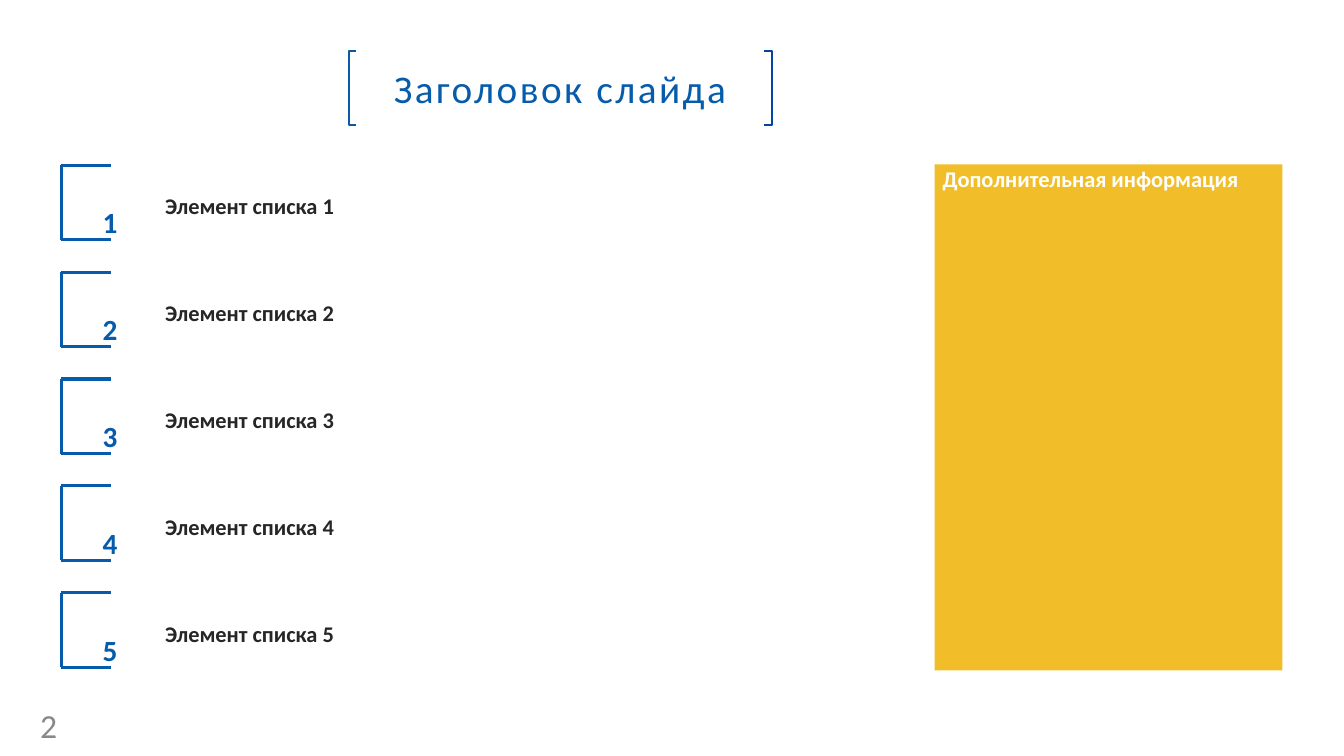
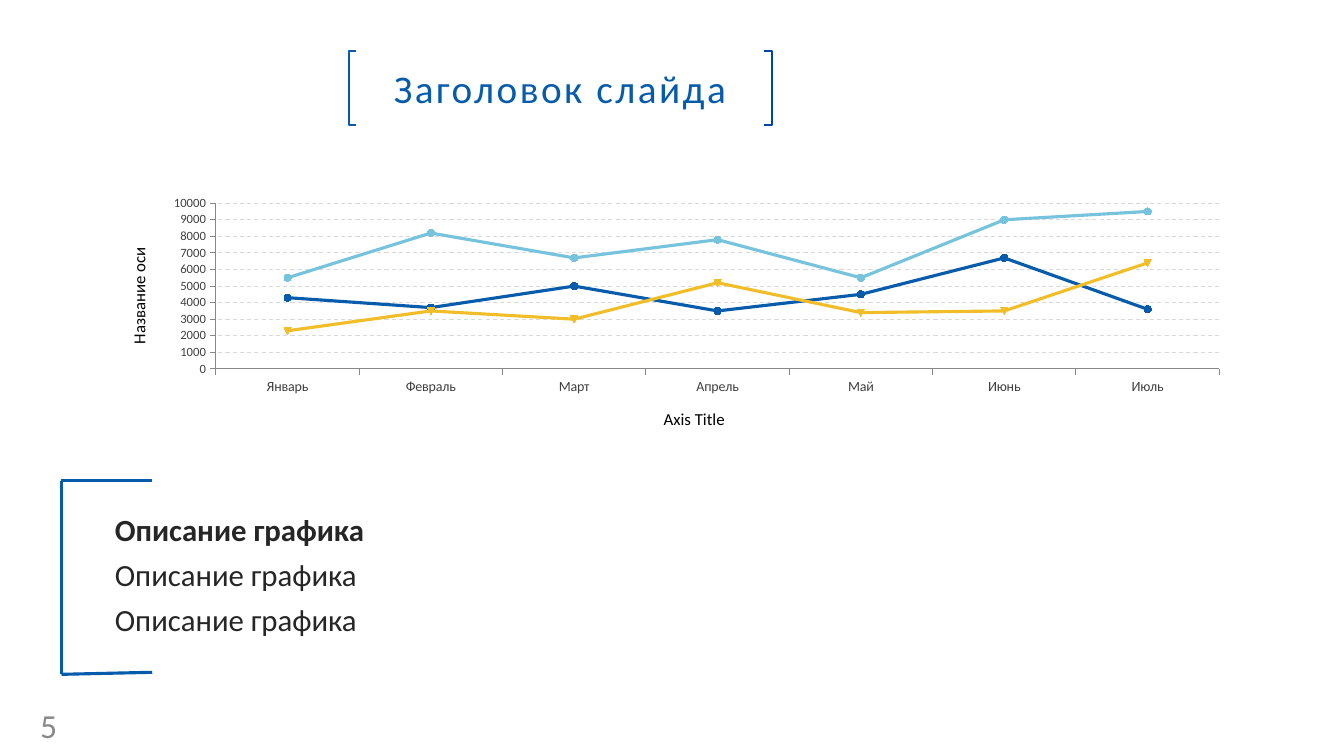
from lxml import etree
from pptx import Presentation
from pptx.chart.data import CategoryChartData
from pptx.dml.color import RGBColor
from pptx.enum.chart import XL_CHART_TYPE, XL_MARKER_STYLE, XL_TICK_MARK
from pptx.enum.dml import MSO_LINE
from pptx.enum.shapes import MSO_CONNECTOR, MSO_SHAPE
from pptx.enum.text import MSO_ANCHOR, MSO_AUTO_SIZE, PP_ALIGN
from pptx.oxml.ns import qn
from pptx.util import Inches, Pt

STRAIGHT = MSO_CONNECTOR.STRAIGHT
TOP, MIDDLE = MSO_ANCHOR.TOP, MSO_ANCHOR.MIDDLE
LEFT, CENTER, JUSTIFY = PP_ALIGN.LEFT, PP_ALIGN.CENTER, PP_ALIGN.JUSTIFY
CIRCLE, AUTOMATIC = XL_MARKER_STYLE.CIRCLE, XL_MARKER_STYLE.AUTOMATIC

FONT = "Calibri"
COLORS = {
    "blue": "065CAB",
    "navy": "0046A2",
    "sky": "76C3DD",
    "yellow": "F1BE29",
    "white": "FFFFFF",
    "black": "000000",
    "text": "262626",
    "labels": "404040",
    "page": "898989",
    "axis": "888888",
    "grid": "D9D9D9",
}

TITLE = "Заголовок слайда"
LIST_ITEMS = [f"Элемент списка {number}" for number in range(1, 6)]
SIDE_NOTE = "Дополнительная информация"
DESCRIPTION = ["Описание графика"] * 3
MONTHS = ["Январь", "Февраль", "Март", "Апрель", "Май", "Июнь", "Июль"]
SERIES = [
    ("Series 1", (4300, 3700, 5000, 3500, 4500, 6700, 3600), "blue", CIRCLE),
    ("Series 2", (5500, 8200, 6700, 7800, 5500, 9000, 9500), "sky", CIRCLE),
    ("Series 3", (2300, 3500, 3000, 5200, 3400, 3500, 6400), "yellow", AUTOMATIC),
]
CATEGORY_TITLE, VALUE_TITLE = "Axis Title", "Название оси"

TITLE_BOX = (3.46, 0.51, 4.19, 0.73)
BRACKET_LEFT = 0.61
LIST_TOP, LIST_PITCH = 1.64, 1.06


def rgb(name):
    return RGBColor.from_string(COLORS[name])


def box(left, top, width, height):
    return Inches(left), Inches(top), Inches(width), Inches(height)


def style_font(font, size, color, bold=False):
    font.name, font.size, font.bold = FONT, Pt(size), bold
    font.color.rgb = rgb(color)


def style_line(line, color, width):
    line.color.rgb = rgb(color)
    line.width = Pt(width)


def write(shape, lines, size, color, bold=False, align=LEFT, anchor=TOP, insets=(0.1, 0.05)):
    """Fill a shape with one paragraph per line and return its paragraphs."""
    frame = shape.text_frame
    frame.text = "\n".join(lines)
    frame.word_wrap = True
    frame.auto_size = MSO_AUTO_SIZE.NONE
    frame.vertical_anchor = anchor
    frame.margin_left = frame.margin_right = Inches(insets[0])
    frame.margin_top = frame.margin_bottom = Inches(insets[1])
    for paragraph in frame.paragraphs:
        paragraph.alignment = align
        style_font(paragraph.font, size, color, bold)
    return frame.paragraphs


def set_run_property(paragraph, name, value):
    paragraph.runs[0].font._element.set(name, str(value))


def add_text(slide, position, text, *style, **options):
    text_box = slide.shapes.add_textbox(*box(*position))
    return write(text_box, [text], *style, **options)[0]


def add_title_bracket(slide, edge, tip, color):
    top, bottom = TITLE_BOX[1], TITLE_BOX[1] + TITLE_BOX[3]
    builder = slide.shapes.build_freeform(Inches(tip), Inches(top))
    corners = [(edge, top), (edge, bottom), (tip, bottom)]
    builder.add_line_segments([(Inches(x), Inches(y)) for x, y in corners], close=False)
    bracket = builder.convert_to_shape()
    bracket.fill.background()
    bracket.shadow.inherit = False
    style_line(bracket.line, color, 1.3)


def add_left_bracket(slide, top, bottom, width, tip_rise=0):
    """Draw three lines open to the right; tip_rise lifts the lower tip."""
    right = BRACKET_LEFT + width
    lines = [
        (BRACKET_LEFT, top, BRACKET_LEFT, bottom),
        (BRACKET_LEFT, top, right, top),
        (BRACKET_LEFT, bottom, right, bottom - tip_rise),
    ]
    for ends in lines:
        connector = slide.shapes.add_connector(STRAIGHT, *box(*ends))
        style_line(connector.line, "blue", 2.25)
        etree.SubElement(connector._element.spPr, qn("a:effectLst"))


def add_slide(presentation, layout_index, page):
    """Add a slide with the shared bracketed title and page number."""
    slide = presentation.slides.add_slide(presentation.slide_layouts[layout_index])
    title = slide.shapes.title
    title.left, title.top, title.width, title.height = box(*TITLE_BOX)
    title.fill.solid()
    title.fill.fore_color.rgb = rgb("white")
    style_line(title.line, "white", 2)
    heading = write(title, [TITLE], 28, "blue", align=CENTER, anchor=MIDDLE)[0]
    set_run_property(heading, "spc", 180)
    add_title_bracket(slide, 3.46, 3.53, "blue")
    add_title_bracket(slide, 7.66, 7.58, "navy")
    add_text(slide, (0.3, 7.04, 0.62, 0.3), page, 24, "page", anchor=MIDDLE)
    return slide


def build_list_slide(presentation):
    slide = add_slide(presentation, 5, "2")
    panel = slide.shapes.add_shape(MSO_SHAPE.RECTANGLE, *box(9.27, 1.63, 3.45, 5.02))
    panel.shadow.inherit = False
    panel.fill.solid()
    panel.fill.fore_color.rgb = rgb("yellow")
    panel.line.fill.background()
    note = write(panel, [SIDE_NOTE], 16, "white", True, JUSTIFY, insets=(0.08, 0.04))[0]
    note.line_spacing = 0.9
    for index, item in enumerate(LIST_ITEMS):
        top = LIST_TOP + index * LIST_PITCH
        add_left_bracket(slide, top, top + 0.74, 0.49)
        add_text(slide, (1.54, top + 0.22, 6.8, 0.37), item, 16, "text", True)
        number = add_text(slide, (0.92, top + 0.28, 1.18, 0.5), str(index + 1), 36, "blue", True)
        set_run_property(number, "baseline", 30000)


def place_in_chart(element, **fractions):
    """Give a chart element a manual layout in fractions of the chart."""
    layout = element.find(qn("c:layout"))
    if layout is None:
        layout = etree.Element(qn("c:layout"))
        element.insert(0, layout)
    manual = etree.SubElement(layout, qn("c:manualLayout"))
    settings = {"xMode": "edge", "yMode": "edge", **fractions}
    if "w" in fractions:
        settings = {"layoutTarget": "inner", **settings}
    for name, value in settings.items():
        etree.SubElement(manual, qn(f"c:{name}")).set("val", str(value))


def style_axis(axis, title, size, x, y):
    axis.major_tick_mark = XL_TICK_MARK.OUTSIDE
    axis.minor_tick_mark = XL_TICK_MARK.NONE
    style_line(axis.format.line, "axis", 0.75)
    style_font(axis.tick_labels.font, size, "labels")
    frame = axis.axis_title.text_frame
    frame.text = title
    style_font(frame.paragraphs[0].runs[0].font, 12, "black")
    place_in_chart(axis.axis_title._element, x=x, y=y)


def add_line_chart(slide):
    data = CategoryChartData()
    data.categories = MONTHS
    for name, values, _, _ in SERIES:
        data.add_series(name, values)
    chart = slide.shapes.add_chart(
        XL_CHART_TYPE.LINE_MARKERS, *box(1.01, 1.89, 11.31, 2.53), data
    ).chart
    chart.has_legend = chart.has_title = False
    style_font(chart.font, 18, "black")
    style_axis(chart.category_axis, CATEGORY_TITLE, 10, 0.49, 0.84)
    values_axis = chart.value_axis
    style_axis(values_axis, VALUE_TITLE, 9, 0.02, 0.21)
    values_axis.minimum_scale, values_axis.maximum_scale = 0, 10000
    values_axis.major_unit = 1000
    gridline = values_axis.major_gridlines.format.line
    style_line(gridline, "grid", 0.75)
    gridline.dash_style = MSO_LINE.DASH
    plot = chart.plots[0]
    plot.vary_by_categories = False
    for series, (_, _, color, marker) in zip(plot.series, SERIES):
        series.smooth = False
        style_line(series.format.line, color, 2.25)
        series.marker.style, series.marker.size = marker, 5
        series.marker.format.fill.solid()
        series.marker.format.fill.fore_color.rgb = rgb(color)
        style_line(series.marker.format.line, color, 0.75)
    plot_area = chart._chartSpace.chart.plotArea
    place_in_chart(plot_area, x=0.1, y=0.05, w=0.88, h=0.65)


def build_chart_slide(presentation):
    slide = add_slide(presentation, 1, "5")
    add_line_chart(slide)
    add_left_bracket(slide, 4.77, 6.69, 0.9, tip_rise=0.02)
    body = slide.placeholders[1]
    body.left, body.top, body.width, body.height = box(1.06, 5.07, 11.84, 1.33)
    paragraphs = write(body, DESCRIPTION, 22, "text", align=JUSTIFY, insets=(0.08, 0.04))
    for index, paragraph in enumerate(paragraphs):
        paragraph.font.bold = index == 0
        paragraph.line_spacing = 0.9
        paragraph.space_before = Pt(8.4 if index else 0)
        properties = paragraph._p.get_or_add_pPr()
        properties.set("marL", "0")
        properties.set("indent", "0")
        bullet = etree.Element(qn("a:buNone"))
        properties.find(qn("a:defRPr")).addprevious(bullet)


def main():
    presentation = Presentation()
    presentation.slide_width, presentation.slide_height = Inches(13.33), Inches(7.5)
    build_list_slide(presentation)
    build_chart_slide(presentation)
    presentation.save("out.pptx")


if __name__ == "__main__":
    main()
